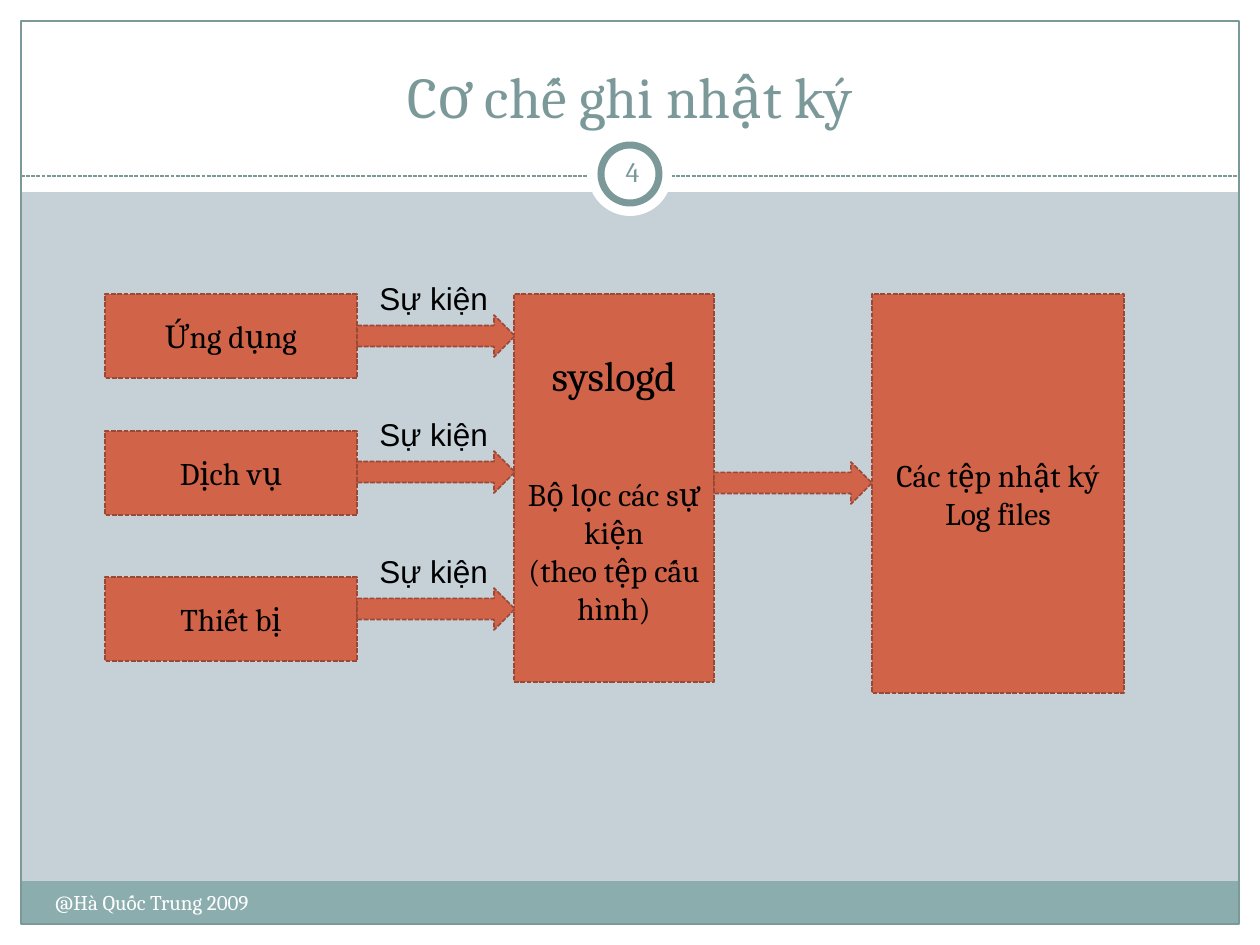
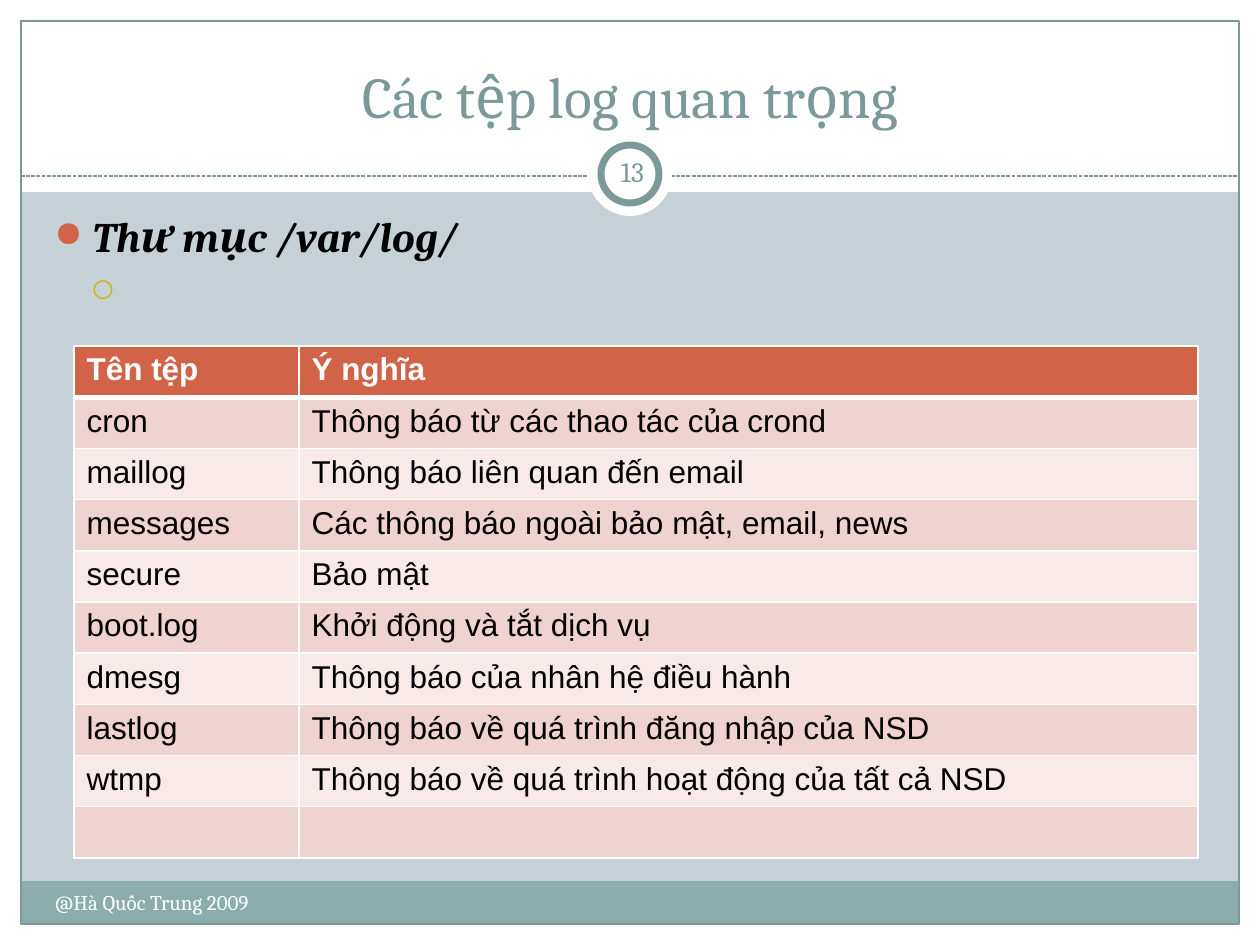
from dataclasses import dataclass

from lxml import etree
from pptx import Presentation
from pptx.dml.color import RGBColor
from pptx.enum.dml import MSO_LINE
from pptx.enum.shapes import MSO_CONNECTOR, MSO_SHAPE
from pptx.enum.text import MSO_ANCHOR, PP_ALIGN
from pptx.oxml.ns import qn
from pptx.util import Emu, Pt


@dataclass(frozen=True)
class Theme:
    heading_font: str = "Cambria"
    label_font: str = "Arial"
    background: str = "C5D1D7"
    white: str = "FFFFFF"
    black: str = "000000"
    slate: str = "7C999A"
    footer_band: str = "8CADAE"
    accent: str = "D16349"
    accent_edge: str = "9B4936"
    gold: str = "CCB400"
    row_dark: str = "EED3D0"
    row_light: str = "F7EAE9"
    title_size: int = 33
    large_size: int = 24
    body_size: int = 18
    number_size: int = 16
    sub_bullet_size: int = 14
    footer_size: int = 12


theme = Theme()
PX = 914400 / 126


def add_shape(slide, kind, box, fill=None, line=None, width=0.75, dash=None):
    shape = slide.shapes.add_shape(kind, *[Emu(round(value * PX)) for value in box])
    shape.shadow.inherit = False
    if fill:
        shape.fill.solid()
        shape.fill.fore_color.rgb = RGBColor.from_string(fill)
    else:
        shape.fill.background()
    if line:
        shape.line.color.rgb = RGBColor.from_string(line)
        shape.line.width = Pt(width)
        shape.line.dash_style = dash
    else:
        shape.line.fill.background()
    return shape


def write_text(frame, lines, size, color=theme.black, font=theme.heading_font,
               align=PP_ALIGN.CENTER, anchor=MSO_ANCHOR.MIDDLE):
    frame.word_wrap = True
    frame.vertical_anchor = anchor
    for index, line in enumerate(lines):
        paragraph = frame.paragraphs[0] if index == 0 else frame.add_paragraph()
        paragraph.text = line
        paragraph.alignment = align
        paragraph.font.size = Pt(size)
        paragraph.font.name = font
        paragraph.font.color.rgb = RGBColor.from_string(color)
    return frame.paragraphs


presentation = Presentation()
presentation.slide_width = Emu(round(1260 * PX))
presentation.slide_height = Emu(round(945 * PX))

# Shared frame, title, page number and footer
white_bands = [(0, 924, 1260, 21), (0, 0, 1260, 192), (0, 0, 21, 945), (1239, 0, 21, 945)]
slides = []
for title, number in [("Cơ chế ghi nhật ký", "4"), ("Các tệp log quan trọng", "13")]:
    slide = presentation.slides.add_slide(presentation.slide_layouts[6])
    slides.append(slide)
    slide.background.fill.solid()
    slide.background.fill.fore_color.rgb = RGBColor.from_string(theme.background)
    for band in white_bands:
        add_shape(slide, MSO_SHAPE.RECTANGLE, band, theme.white)
    add_shape(slide, MSO_SHAPE.RECTANGLE, (21, 881, 1218, 43), theme.footer_band)
    add_shape(slide, MSO_SHAPE.RECTANGLE, (21, 21, 1218, 903), line=theme.slate)

    divider = slide.shapes.add_connector(
        MSO_CONNECTOR.STRAIGHT, *[Emu(round(value * PX)) for value in (21, 176, 1239, 176)])
    divider.line.color.rgb = RGBColor.from_string(theme.slate)
    divider.line.width = Pt(0.75)
    divider.line.dash_style = MSO_LINE.SQUARE_DOT
    etree.SubElement(divider._element.spPr, qn("a:effectLst"))

    add_shape(slide, MSO_SHAPE.OVAL, (588, 132, 84, 84), theme.white)
    add_shape(slide, MSO_SHAPE.OVAL, (601, 145, 58, 58), theme.white, theme.slate, 4)

    for text, box, size, color, align, anchor, inset in [
        (title, (42, 31, 1176, 105), theme.title_size, theme.slate,
         PP_ALIGN.CENTER, MSO_ANCHOR.BOTTOM, 13),
        (number, (601, 141, 63, 60), theme.number_size, theme.slate,
         PP_ALIGN.CENTER, MSO_ANCHOR.MIDDLE, 6),
        ("@Hà Quốc Trung 2009", (42, 883, 494, 50), theme.footer_size, theme.white,
         PP_ALIGN.LEFT, MSO_ANCHOR.TOP, 13),
    ]:
        text_box = slide.shapes.add_textbox(*[Emu(round(value * PX)) for value in box])
        text_box.text_frame.margin_left = text_box.text_frame.margin_right = Emu(round(inset * PX))
        write_text(text_box.text_frame, [text], size, color, align=align, anchor=anchor)

mechanism_slide, files_slide = slides

# Logging mechanism: sources, syslogd and log files
block_style = (theme.accent, theme.accent_edge, 0.9, MSO_LINE.SQUARE_DOT)
blocks = [
    (["Ứng dụng"], (105, 294, 252, 84)),
    (["Dịch vụ"], (105, 431, 252, 84)),
    (["Thiết bị"], (105, 577, 252, 84)),
    (["syslogd", "Bộ lọc các sự kiện", "(theo tệp cấu hình)"], (514, 294, 200, 388)),
    (["Các tệp nhật ký", "Log files"], (872, 294, 252, 399)),
]
for lines, box in blocks:
    block = add_shape(mechanism_slide, MSO_SHAPE.RECTANGLE, box, *block_style)
    paragraphs = write_text(block.text_frame, lines, theme.body_size)
    if lines[0] == "syslogd":
        paragraphs[0].font.size = Pt(theme.large_size)
        paragraphs[1].space_before = Pt(43)

# Event arrows and their labels
for left, top, label in [(357, 315, "Sự kiện"), (357, 451, "Sự kiện"),
                         (357, 588, "Sự kiện"), (714, 462, None)]:
    add_shape(mechanism_slide, MSO_SHAPE.RIGHT_ARROW, (left, top, 158, 42), *block_style)
    if label:
        text_box = mechanism_slide.shapes.add_textbox(
            *[Emu(round(value * PX)) for value in (left + 10, top - 42, 147, 50)])
        write_text(text_box.text_frame, [label], theme.body_size, font=theme.label_font,
                   align=PP_ALIGN.LEFT, anchor=MSO_ANCHOR.TOP)

# Directory heading with its bullets
body = files_slide.shapes.add_textbox(
    *[Emu(round(value * PX)) for value in (42, 210, 1172, 130)])
heading, sub_item = write_text(body.text_frame, ["Thư mục /var/log/", "○"], theme.large_size,
                               align=PP_ALIGN.LEFT, anchor=MSO_ANCHOR.TOP)
heading.font.bold = heading.font.italic = True
heading.line_spacing = sub_item.line_spacing = 0.9
properties = heading._p.get_or_add_pPr()
properties.set("marL", str(round(38 * PX)))
properties.set("indent", str(round(-38 * PX)))
bullet_color = etree.Element(qn("a:buClr"))
etree.SubElement(bullet_color, qn("a:srgbClr"), val=theme.accent)
bullet_parts = [bullet_color,
                etree.Element(qn("a:buSzPct"), val="85000"),
                etree.Element(qn("a:buChar"), char="●")]
for part in bullet_parts:
    properties.find(qn("a:defRPr")).addprevious(part)
sub_item._p.get_or_add_pPr().set("marL", str(round(38 * PX)))
sub_item.space_before = Pt(8)
sub_item.font.size = Pt(theme.sub_bullet_size)
sub_item.font.color.rgb = RGBColor.from_string(theme.gold)

# Table of log files
log_files = [
    ("Tên tệp", "Ý nghĩa"),
    ("cron", "Thông báo từ các thao tác của crond"),
    ("maillog", "Thông báo liên quan đến email"),
    ("messages", "Các thông báo ngoài bảo mật, email, news"),
    ("secure", "Bảo mật"),
    ("boot.log", "Khởi động và tắt dịch vụ"),
    ("dmesg", "Thông báo của nhân hệ điều hành"),
    ("lastlog", "Thông báo về quá trình đăng nhập của NSD"),
    ("wtmp", "Thông báo về quá trình hoạt động của tất cả NSD"),
    ("", ""),
]
table = files_slide.shapes.add_table(
    len(log_files), 2, *[Emu(round(value * PX)) for value in (74, 346, 1124, 512)]).table
for column, width in zip(table.columns, (225, 899)):
    column.width = Emu(round(width * PX))
for row_index, values in enumerate(log_files):
    is_header = row_index == 0
    row_fill = theme.accent if is_header else (theme.row_light, theme.row_dark)[row_index % 2]
    for column_index, value in enumerate(values):
        cell = table.cell(row_index, column_index)
        paragraph = write_text(cell.text_frame, [value], theme.body_size,
                               theme.white if is_header else theme.black, theme.label_font,
                               PP_ALIGN.LEFT, MSO_ANCHOR.TOP)[0]
        paragraph.font.bold = is_header
        borders = {"a:lnL": 1, "a:lnR": 1, "a:lnT": 3 if row_index == 1 else 1,
                   "a:lnB": 3 if is_header else 1}
        for tag, width in borders.items():
            border = etree.SubElement(cell._tc.get_or_add_tcPr(), qn(tag), w=str(Pt(width)))
            border_fill = etree.SubElement(border, qn("a:solidFill"))
            etree.SubElement(border_fill, qn("a:srgbClr"), val=theme.white)
        cell.fill.solid()
        cell.fill.fore_color.rgb = RGBColor.from_string(row_fill)

presentation.save("out.pptx")
